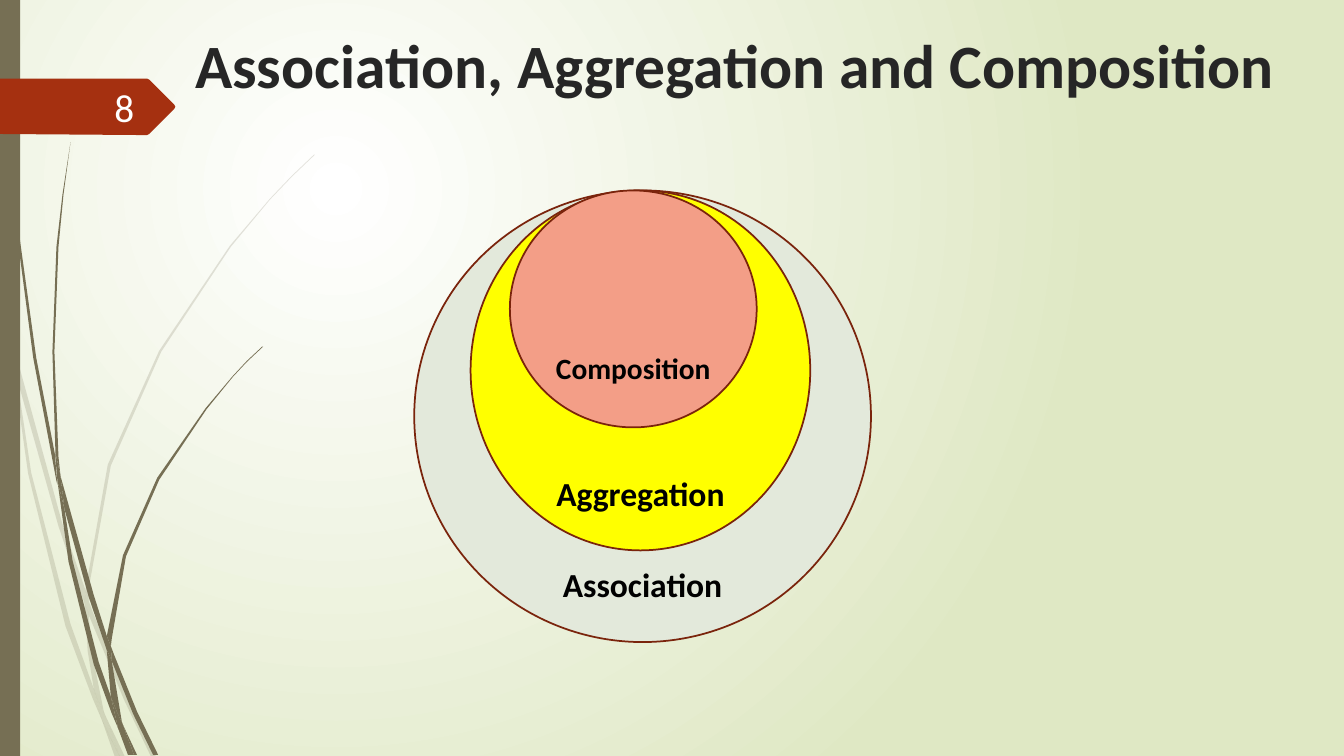
"""Build a slide with nested circles for association, aggregation and composition."""
from lxml import etree
from pptx import Presentation
from pptx.dml.color import RGBColor
from pptx.enum.shapes import MSO_SHAPE
from pptx.enum.text import MSO_ANCHOR, PP_ALIGN
from pptx.oxml.ns import qn
from pptx.util import Cm, Pt

OVAL, RECTANGLE = MSO_SHAPE.OVAL, MSO_SHAPE.RECTANGLE
TOP, MIDDLE = MSO_ANCHOR.TOP, MSO_ANCHOR.MIDDLE
LEFT, CENTER, RIGHT = PP_ALIGN.LEFT, PP_ALIGN.CENTER, PP_ALIGN.RIGHT

WHITE = RGBColor(0xFF, 0xFF, 0xFF)
BLACK = RGBColor(0x00, 0x00, 0x00)
CHARCOAL = RGBColor(0x26, 0x26, 0x26)
PALE_GREEN = RGBColor(0xDF, 0xE8, 0xC4)
OLIVE = RGBColor(0x76, 0x6F, 0x54)
RUST = RGBColor(0xA5, 0x30, 0x10)
DARK_RUST = RGBColor(0x7A, 0x24, 0x0C)
GREY_GREEN = RGBColor(0xE3, 0xE9, 0xDB)
YELLOW = RGBColor(0xFF, 0xFF, 0x00)
SALMON = RGBColor(0xF3, 0x9E, 0x87)

GRID = Cm(0.0254)

PALE_STALKS = [
    [(11, 350), (9, 322), (0, 282), (0, 299), (10, 344)],
    [(58, 522), (84, 599), (85, 586), (62, 520), (14, 345), (17, 376)],
    [(92, 607), (88, 596), (88, 610), (123, 694), (150, 751), (155, 751), (127, 692)],
    [(119, 751), (124, 751), (105, 711)],
    [(93, 683), (70, 619), (31, 469), (17, 376), (11, 350), (28, 470), (65, 621),
     (92, 693), (101, 714), (99, 707)],
    [(84, 599), (87, 646), (93, 683), (96, 692), (105, 711), (103, 706), (91, 646),
     (88, 610), (88, 608)],
    [(88, 584), (110, 462), (160, 349), (229, 245), (268, 198), (290, 175), (312, 154),
     (312, 153), (289, 175), (268, 197), (228, 244), (158, 348), (107, 461), (85, 584),
     (85, 586), (88, 596)],
    [(101, 714), (114, 751), (119, 751)],
    [(88, 608), (88, 610), (88, 596), (85, 586), (84, 599)],
    [(96, 692), (93, 683), (99, 707), (101, 714), (119, 751), (105, 711)],
]
DARK_STALKS = [
    [(7, 110), (17, 233), (33, 355), (56, 477), (57, 481), (55, 457), (55, 453),
     (36, 355), (19, 232), (8, 109), (5, 48), (4, 0), (3, 0), (4, 48)],
    [(88, 592), (106, 645), (106, 633), (106, 631), (93, 590), (60, 472), (64, 505)],
    [(113, 649), (110, 641), (111, 656), (132, 708), (152, 749), (157, 749), (136, 706)],
    [(110, 691), (98, 657), (72, 556), (64, 505), (57, 477), (68, 557), (93, 659),
     (111, 708), (117, 722), (116, 717)],
    [(60, 472), (58, 453), (54, 349), (58, 245), (63, 193), (70, 141), (62, 193),
     (56, 245), (52, 349), (55, 449)],
    [(133, 749), (136, 749), (122, 719)],
    [(57, 477), (64, 505), (60, 472), (55, 449), (55, 453)],
    [(111, 633), (125, 552), (158, 476), (205, 406), (231, 374), (245, 359), (261, 344),
     (260, 344), (245, 358), (231, 373), (204, 405), (156, 474), (122, 551), (106, 631),
     (110, 641)],
    [(117, 722), (127, 749), (131, 749)],
    [(106, 645), (110, 691), (116, 706), (122, 719), (121, 716), (111, 656), (109, 651)],
    [(106, 645), (109, 651), (111, 656), (110, 641), (106, 631), (106, 633)],
    [(116, 706), (110, 691), (116, 717), (117, 722), (130, 749), (133, 749), (122, 719)],
]
NUMBER_TAG = [(173, 108), (148, 133), (146, 134), (136, 134), (0, 133), (0, 78),
              (136, 78), (146, 78), (148, 79), (173, 104), (174, 106)]

CIRCLES = [
    ("Association", 10.44, 11.51, 11.38, GREY_GREEN, 14.71, 24),
    ("Aggregation", 11.86, 8.56, 9.07, YELLOW, 12.42, 24),
    ("Composition", 12.85, 6.22, 5.97, SALMON, 9.27, 21),
]
CIRCLE_TOP = 4.8
LABEL_HEIGHT = 1.2


def add_text(text, left, top, width, height, size, color, bold=False,
             align=LEFT, anchor=MIDDLE):
    box = page.shapes.add_textbox(Cm(left), Cm(top), Cm(width), Cm(height))
    frame = box.text_frame
    frame.word_wrap = True
    frame.vertical_anchor = anchor
    para = frame.paragraphs[0]
    para.alignment = align
    span = para.add_run()
    span.text = text
    span.font.name = "Calibri"
    span.font.size = Pt(size)
    span.font.bold = bold
    span.font.color.rgb = color


def add_outline(shapes, points, color):
    builder = shapes.build_freeform(*points[0], scale=GRID)
    builder.add_line_segments(points[1:], close=True)
    outline = builder.convert_to_shape()
    outline.shadow.inherit = False
    outline.fill.solid()
    outline.fill.fore_color.rgb = color
    outline.line.fill.background()
    return outline


deck = Presentation()
deck.slide_width = Cm(33.87)
deck.slide_height = Cm(19.05)
page = deck.slides.add_slide(deck.slide_layouts[6])

backdrop = page.background.fill
backdrop.gradient()
for stop, color, position in zip(backdrop.gradient_stops, (WHITE, PALE_GREEN), (0, 1)):
    stop.color.rgb = color
    stop.position = position
gradient = page._element.find(".//" + qn("a:gradFill"))
gradient.remove(gradient.find(qn("a:lin")))
glow = etree.SubElement(gradient, qn("a:path"), path="circle")
etree.SubElement(glow, qn("a:fillToRect"), l="50000", t="50000", r="100000", b="100000")

for stalks, opacity in ((PALE_STALKS, 20), (DARK_STALKS, 100)):
    plant = page.shapes.add_group_shape()
    for points in stalks:
        stalk = add_outline(plant.shapes, points, OLIVE)
        if opacity < 100:
            tint = stalk._element.spPr.find(".//" + qn("a:srgbClr"))
            etree.SubElement(tint, qn("a:alpha"), val=str(opacity * 1000))

side_bar = page.shapes.add_shape(RECTANGLE, 0, 0, Cm(0.51), deck.slide_height)
side_bar.shadow.inherit = False
side_bar.fill.solid()
side_bar.fill.fore_color.rgb = OLIVE
side_bar.line.fill.background()

add_outline(page.shapes, NUMBER_TAG, RUST)
add_text("Association, Aggregation and Composition", 4.67, 0.56, 28.45, 2.34,
         size=44, color=CHARCOAL, bold=True, anchor=TOP)
add_text("8", 1.47, 2.18, 2.16, 1.02, size=28, color=WHITE, align=RIGHT)

for name, left, width, height, color, label_middle, size in CIRCLES:
    circle = page.shapes.add_shape(OVAL, Cm(left), Cm(CIRCLE_TOP), Cm(width), Cm(height))
    circle.shadow.inherit = False
    circle.fill.solid()
    circle.fill.fore_color.rgb = color
    circle.line.color.rgb = DARK_RUST
    circle.line.width = Pt(1.25)
    add_text(name, left, label_middle - LABEL_HEIGHT / 2, width, LABEL_HEIGHT,
             size=size, color=BLACK, bold=True, align=CENTER)

deck.save("out.pptx")
